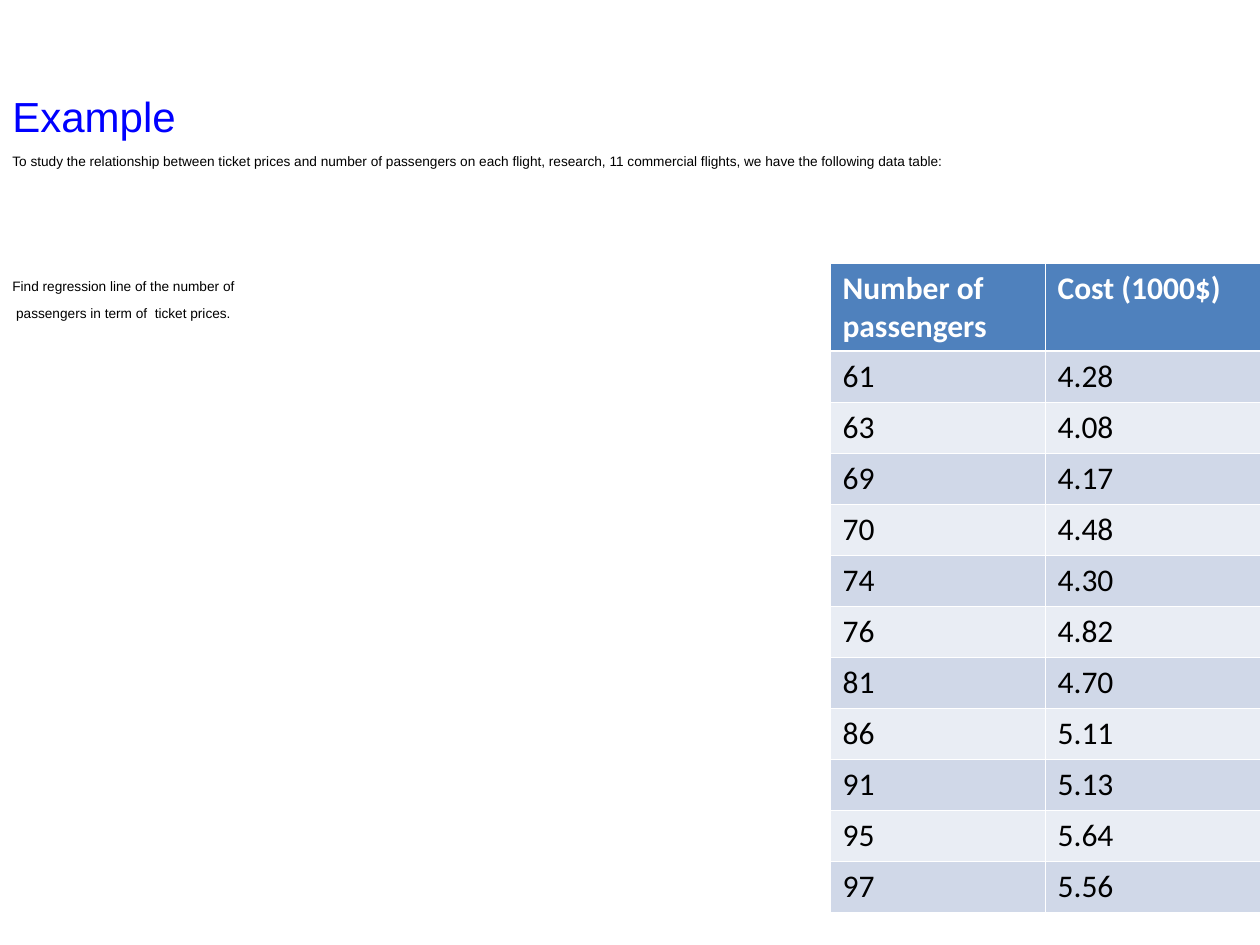
from pptx import Presentation, util as u
from pptx.dml.color import RGBColor
from pptx.enum import text
from pptx.oxml import parse_xml
from pptx.oxml.ns import nsdecls

SCALE = 914400 / 126
BLACK = RGBColor(0x00, 0x00, 0x00)
WHITE = RGBColor(0xFF, 0xFF, 0xFF)
BLUE = RGBColor(0x00, 0x00, 0xFF)
HEADER = RGBColor(0x4F, 0x81, 0xBD)
BANDS = (RGBColor(0xE9, 0xED, 0xF4), RGBColor(0xD0, 0xD8, 0xE8))

TITLE = "Example"
BODY = [
    ("To study the relationship between ticket prices and number of passengers on each flight, "
     "research, 11 commercial flights, we have the following data table:", 0),
    ("Find regression line of the number of", 62),
    (" passengers in term of  ticket prices.", 6),
]
FLIGHTS = [
    ("Number of passengers", "Cost (1000$)"),
    ("61", "4.28"), ("63", "4.08"), ("69", "4.17"), ("70", "4.48"),
    ("74", "4.30"), ("76", "4.82"), ("81", "4.70"), ("86", "5.11"),
    ("91", "5.13"), ("95", "5.64"), ("97", "5.56"),
]
TITLE_BOX = (0, 84, 262, 63)
BODY_BOX = (0, 147, 1260, 199)
TABLE_LEFT, TABLE_TOP = 830, 263
COLUMN_WIDTH, HEADER_HEIGHT, ROW_HEIGHT = 215, 88, 51
THIN, THICK = 0.45, 1.47


def px(length):
    """Turn pixels into EMU."""
    return u.Emu(round(length * SCALE))


def style(para, name, size, color, bold=False):
    """Set the font of a paragraph."""
    font = para.font
    font.name, font.size, font.bold = name, u.Pt(size), bold
    font.color.rgb = color


def add_box(page, place):
    """Add a wrapping text box and return its frame."""
    frame = page.shapes.add_textbox(*map(px, place)).text_frame
    frame.word_wrap = True
    return frame


def add_borders(cell, top, bottom):
    """Draw white lines on the four sides of a cell."""
    properties = cell._tc.get_or_add_tcPr()
    sides = (("L", THIN), ("R", THIN), ("T", top), ("B", bottom))
    for index, (side, width) in enumerate(sides):
        properties.insert(index, parse_xml(
            f'<a:ln{side} {nsdecls("a")} w="{u.Pt(width)}"><a:solidFill>'
            f'<a:srgbClr val="{WHITE}"/></a:solidFill></a:ln{side}>'))


def add_title(page):
    """Add the heading."""
    frame = add_box(page, TITLE_BOX)
    frame.vertical_anchor = text.MSO_ANCHOR.BOTTOM
    frame.text = TITLE
    style(frame.paragraphs[0], "Arial", 24, BLUE)


def add_body(page):
    """Add the statement of the problem."""
    frame = add_box(page, BODY_BOX)
    for index, (line, space) in enumerate(BODY):
        para = frame.add_paragraph() if index else frame.paragraphs[0]
        para.text = line
        para.space_before = u.Pt(space)
        properties = para._p.get_or_add_pPr()
        properties.set("marL", str(px(48)))
        properties.set("indent", str(px(-48)))
        style(para, "Arial", 7.8, BLACK)


def add_flights(page):
    """Add the table of passengers and costs."""
    rows, columns = len(FLIGHTS), len(FLIGHTS[0])
    height = HEADER_HEIGHT + (rows - 1) * ROW_HEIGHT
    table = page.shapes.add_table(
        rows, columns, px(TABLE_LEFT), px(TABLE_TOP),
        px(columns * COLUMN_WIDTH), px(height)).table
    for column in table.columns:
        column.width = px(COLUMN_WIDTH)
    for r, values in enumerate(FLIGHTS):
        is_header = r == 0
        table.rows[r].height = px(HEADER_HEIGHT if is_header else ROW_HEIGHT)
        for c, value in enumerate(values):
            cell = table.cell(r, c)
            cell.text = value
            style(cell.text_frame.paragraphs[0], "Calibri", 18,
                  WHITE if is_header else BLACK, is_header)
            cell.fill.solid()
            cell.fill.fore_color.rgb = HEADER if is_header else BANDS[r % 2]
            add_borders(cell, THICK if r == 1 else THIN, THICK if is_header else THIN)


def main():
    """Build the slide."""
    deck = Presentation()
    deck.slide_width, deck.slide_height = px(1260), px(945)
    page = deck.slides.add_slide(deck.slide_layouts[6])
    add_body(page)
    add_flights(page)
    add_title(page)
    deck.save("out.pptx")


if __name__ == "__main__":
    main()
